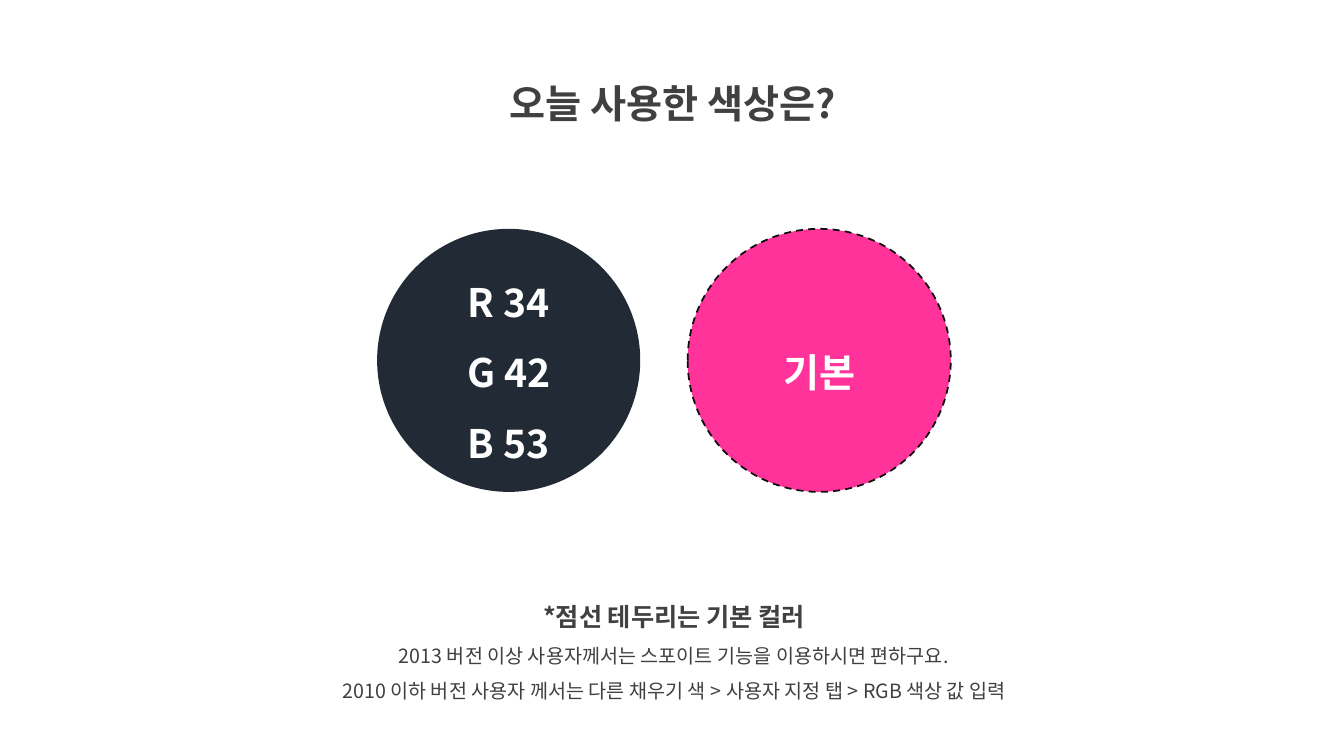
from dataclasses import dataclass

from lxml.etree import SubElement
from pptx import Presentation
from pptx.dml.color import RGBColor
from pptx.enum.dml import MSO_LINE
from pptx.enum.shapes import MSO_SHAPE
from pptx.enum.text import MSO_ANCHOR, MSO_AUTO_SIZE, PP_ALIGN
from pptx.oxml.ns import qn
from pptx.util import Inches, Pt


@dataclass(frozen=True)
class Theme:
    font: str = "Noto Sans CJK KR"
    ink: str = "404040"
    white: str = "FFFFFF"
    navy: str = "222A35"
    pink: str = "FF3399"
    outline: str = "0D0D0D"
    large: int = 28
    medium: int = 18
    small: int = 14


theme = Theme()


def write(shape, lines, color, anchor=MSO_ANCHOR.TOP):
    """Fill a shape with centred lines, each given as (text, size, bold)."""
    frame = shape.text_frame
    frame.word_wrap = True
    frame.auto_size = MSO_AUTO_SIZE.NONE
    frame.vertical_anchor = anchor
    for index, (text, size, bold) in enumerate(lines):
        para = frame.add_paragraph() if index else frame.paragraphs[0]
        para.alignment = PP_ALIGN.CENTER
        para.line_spacing = 1.5
        para.space_before = Pt(0)
        properties = para._p.get_or_add_pPr()
        properties.set("marL", "0")
        properties.set("indent", "0")
        SubElement(properties, qn("a:buNone"))
        span = para.add_run()
        span.text = text
        span.font.name = theme.font
        span.font.size = Pt(size)
        span.font.bold = bold
        span.font.color.rgb = RGBColor.from_string(color)
        SubElement(span._r.rPr, qn("a:ea"), typeface=theme.font)


def place(shape, left, top, width, height):
    shape.left, shape.top = Inches(left), Inches(top)
    shape.width, shape.height = Inches(width), Inches(height)


deck = Presentation()
deck.slide_width, deck.slide_height = Inches(13.33), Inches(7.5)
page = deck.slides.add_slide(deck.slide_layouts.get_by_name("Title and Content"))

title = page.shapes.title
place(title, 4.36, 0.5, 4.63, 0.72)
write(title, [("오늘 사용한 색상은?", theme.large, True)], theme.ink)

guide = page.placeholders[1]
place(guide, 2.69, 5.77, 7.99, 1.26)
write(guide, [
    ("*점선 테두리는 기본 컬러", theme.medium, True),
    ("2013 버전 이상 사용자께서는 스포이트 기능을 이용하시면 편하구요.", theme.small, False),
    ("2010 이하 버전 사용자 께서는 다른 채우기 색 > 사용자 지정 탭 > RGB 색상 값 입력",
     theme.small, False),
], theme.ink)

# Colour swatches, left to right; the dashed outline marks the default colour
first_left, swatch_top, diameter, pitch = 3.74, 2.27, 2.61, 3.08
swatches = [
    (theme.navy, ["R 34", "G 42", "B 53"], False),
    (theme.pink, ["기본"], True),
]
for column, (color, labels, is_default) in enumerate(swatches):
    swatch = page.shapes.add_shape(
        MSO_SHAPE.OVAL, Inches(first_left + column * pitch), Inches(swatch_top),
        Inches(diameter), Inches(diameter))
    swatch.shadow.inherit = False
    swatch.fill.solid()
    swatch.fill.fore_color.rgb = RGBColor.from_string(color)
    if is_default:
        swatch.line.color.rgb = RGBColor.from_string(theme.outline)
        swatch.line.width = Pt(1.25)
        swatch.line.dash_style = MSO_LINE.DASH
    else:
        swatch.line.fill.background()
    write(swatch, [(label, theme.large, True) for label in labels],
          theme.white, MSO_ANCHOR.MIDDLE)

deck.save("out.pptx")
